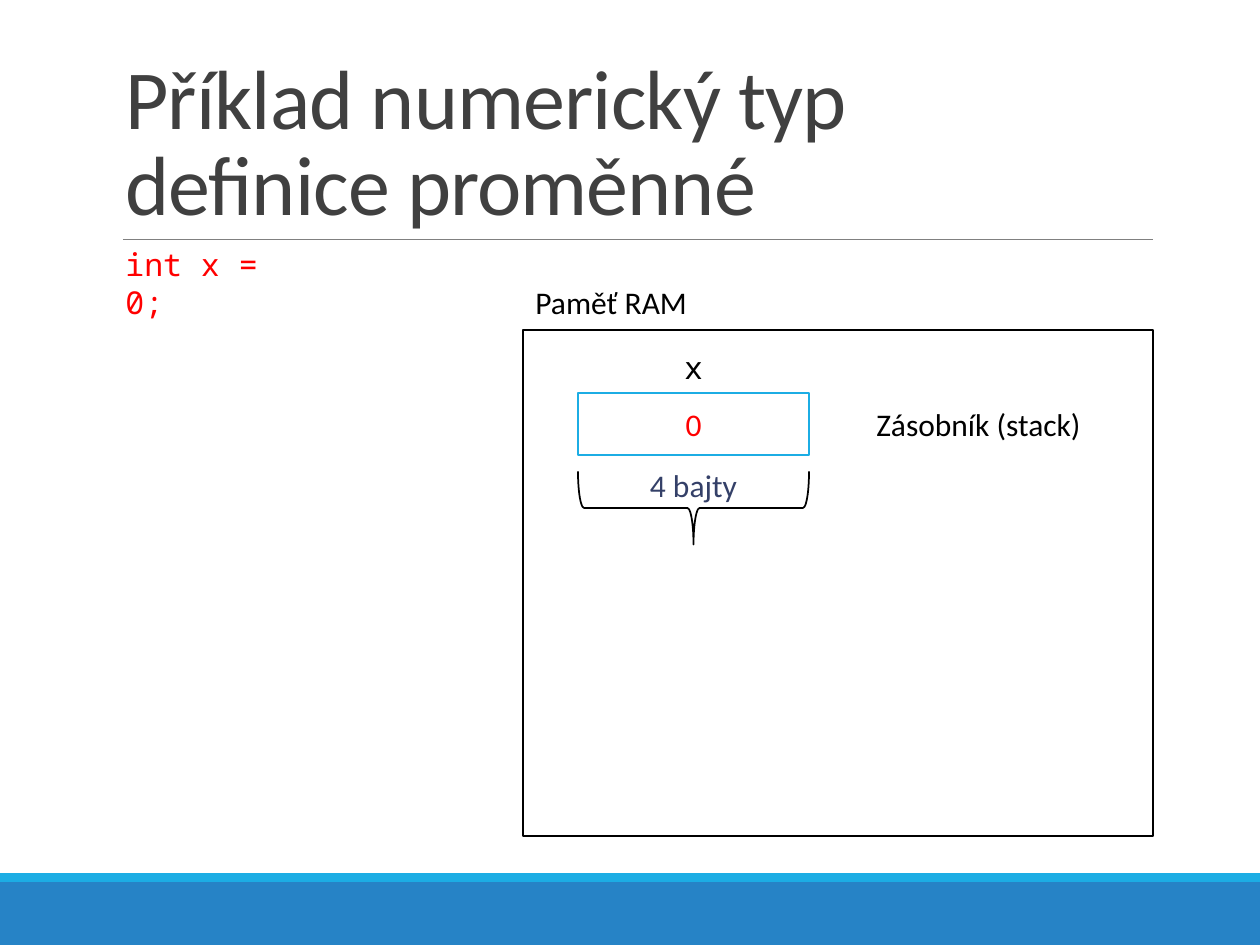
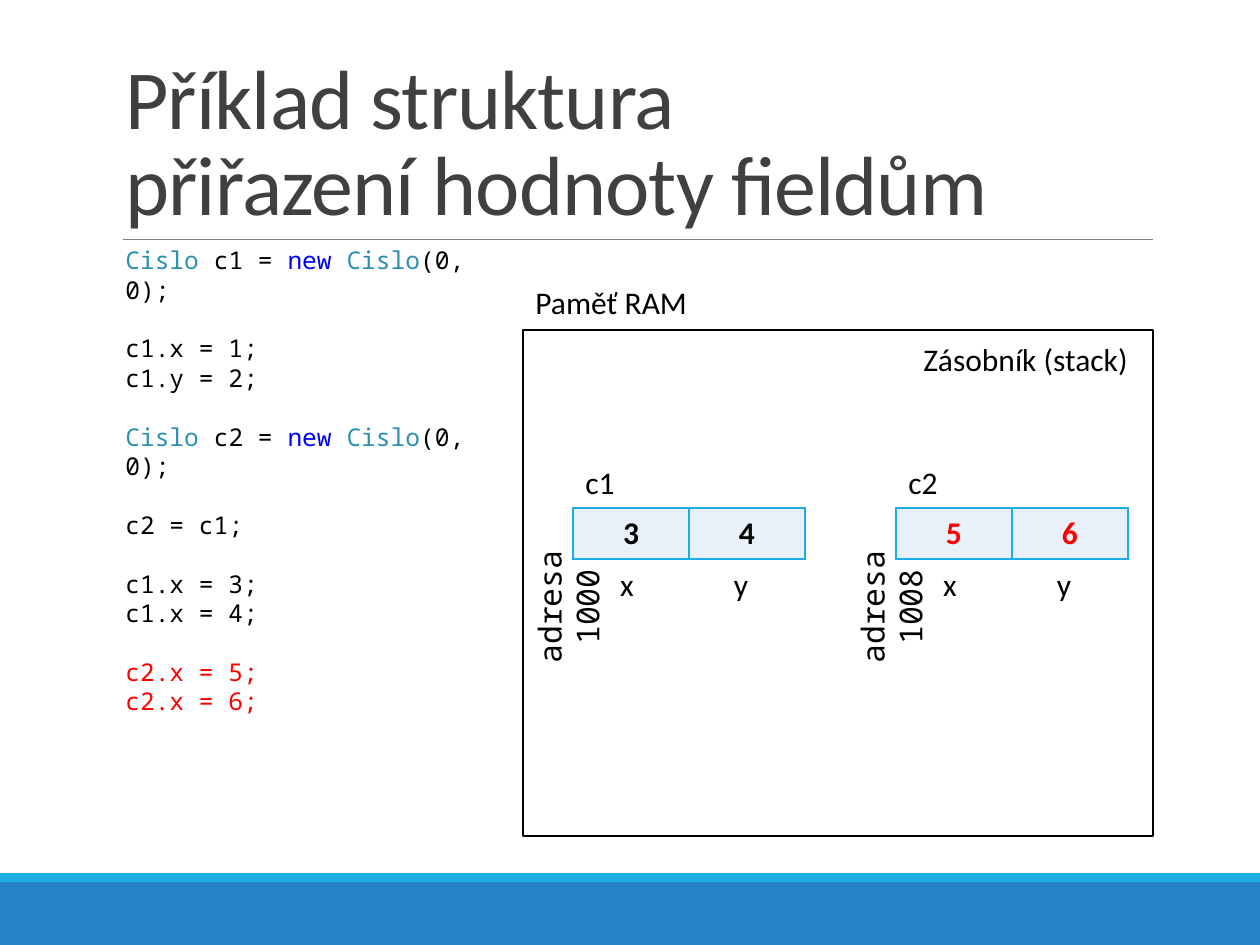
from dataclasses import dataclass

from lxml import etree
from pptx import Presentation
from pptx.dml.color import RGBColor
from pptx.enum.shapes import MSO_CONNECTOR, MSO_SHAPE
from pptx.enum.text import MSO_ANCHOR, PP_ALIGN
from pptx.oxml.ns import qn
from pptx.util import Pt

LEFT, CENTER = PP_ALIGN.LEFT, PP_ALIGN.CENTER
TOP, MIDDLE, BOTTOM = MSO_ANCHOR.TOP, MSO_ANCHOR.MIDDLE, MSO_ANCHOR.BOTTOM
RECTANGLE, BRACE = MSO_SHAPE.RECTANGLE, MSO_SHAPE.LEFT_BRACE
STRAIGHT = MSO_CONNECTOR.STRAIGHT


@dataclass(frozen=True)
class Theme:
    ink: str = "000000"
    paper: str = "FFFFFF"
    heading: str = "404040"
    rule: str = "808080"
    band: str = "2683C6"
    accent: str = "1CADE4"
    cell: str = "E8F1FA"
    note: str = "344068"
    changed: str = "FF0000"
    type_name: str = "2B91AF"
    keyword: str = "0000FF"
    sans: str = "Calibri"
    mono: str = "Noto Sans Mono"
    title_size: int = 48
    body_size: int = 18
    code_size: int = 14
    code_gap: float = 16.8


THEME = Theme()
PAGE_WIDTH, PAGE_HEIGHT = 1260, 945
FRAME = (523, 330, 630, 506)
VARIABLE = (578, 393, 231, 62)
CELL_WIDTH, CELL_HEIGHT, CELL_TOP = 116, 51, 508
LABEL_HEIGHT = 50

NUMERIC_TITLE = "Příklad numerický typ\ndefinice proměnné"
STRUCT_TITLE = "Příklad struktura\npřiřazení hodnoty fieldům"
MEMORY_LABEL = "Paměť RAM"
STACK_LABEL = "Zásobník (stack)"


def creation(name):
    return [("Cislo ", THEME.type_name), (f"{name} = ", THEME.ink),
            ("new ", THEME.keyword), ("Cislo", THEME.type_name),
            ("(0, 0);", THEME.ink)]


STRUCT_CODE = [
    [creation("c1")],
    ["c1.x = 1;", "c1.y = 2;"],
    [creation("c2")],
    ["c2 = c1;"],
    ["c1.x = 3;", "c1.x = 4;"],
    [[("c2.x = 5;", THEME.changed)], [("c2.x = 6;", THEME.changed)]],
]
FIELDS = ("x", "y")
STRUCTS = [
    {"name": "c1", "address": "adresa 1000", "values": ("3", "4"),
     "left": 573, "color": THEME.ink},
    {"name": "c2", "address": "adresa 1008", "values": ("5", "6"),
     "left": 896, "color": THEME.changed},
]


def px(length):
    return round(length * 914400 / 126)


def place(left, top, width, height):
    return px(left), px(top), px(width), px(height)


def rgb(color):
    return RGBColor.from_string(color)


def write(frame, groups, size=THEME.body_size, font=THEME.sans, color=THEME.ink,
          align=LEFT, anchor=TOP, bold=False, gap=0, leading=None, tracking=None):
    frame.word_wrap = True
    frame.vertical_anchor = anchor
    if isinstance(groups, str):
        groups = [[groups]]
    para = None
    for group in groups:
        for position, line in enumerate(group):
            first = para is None
            para = frame.paragraphs[0] if first else frame.add_paragraph()
            para.alignment = align
            if gap and not first and position == 0:
                para.space_before = Pt(gap)
            if leading:
                para.line_spacing = leading
            spans = [(line, color)] if isinstance(line, str) else line
            for text, span_color in spans:
                for number, part in enumerate(text.split("\n")):
                    if number:
                        para.add_line_break()
                    span = para.add_run()
                    span.text = part
                    span.font.size = Pt(size)
                    span.font.name = font
                    span.font.bold = bold
                    span.font.color.rgb = rgb(span_color)
                    if tracking:
                        span.font._element.set("spc", str(tracking))


def add_text(page, bounds, groups, rotation=0, **style):
    box = page.shapes.add_textbox(*place(*bounds))
    box.rotation = rotation
    write(box.text_frame, groups, **style)


def add_box(page, bounds, kind=RECTANGLE, fill=None, line=None, weight=1.25):
    box = page.shapes.add_shape(kind, *place(*bounds))
    box.shadow.inherit = False
    if fill:
        box.fill.solid()
        box.fill.fore_color.rgb = rgb(fill)
    else:
        box.fill.background()
    if line:
        box.line.color.rgb = rgb(line)
        box.line.width = Pt(weight)
    else:
        box.line.fill.background()
    return box


def add_rule(page, left, right, top):
    rule = page.shapes.add_connector(STRAIGHT, px(left), px(top), px(right), px(top))
    rule.line.color.rgb = rgb(THEME.rule)
    rule.line.width = Pt(0.5)
    etree.SubElement(rule._element.spPr, qn("a:effectLst"))


def add_page(deck, title):
    page = deck.slides.add_slide(deck.slide_layouts[6])
    add_box(page, (0, 882, PAGE_WIDTH, 63), fill=THEME.band)
    add_box(page, (0, 873, PAGE_WIDTH, 9), fill=THEME.accent)
    add_rule(page, 123, 1153, 239)
    add_box(page, FRAME, fill=THEME.paper, line=THEME.ink)
    add_text(page, (113, 39, 1040, 200), title, size=THEME.title_size,
             color=THEME.heading, anchor=BOTTOM, leading=0.85, tracking=-50)
    add_text(page, (523, 277, 234, LABEL_HEIGHT), MEMORY_LABEL)
    return page


def outline_cell(cell, color):
    properties = cell._tc.get_or_add_tcPr()
    for side in ("lnL", "lnR", "lnT", "lnB"):
        border = etree.SubElement(properties, qn(f"a:{side}"), w=str(Pt(1)))
        fill = etree.SubElement(border, qn("a:solidFill"))
        etree.SubElement(fill, qn("a:srgbClr"), val=color)


def add_values(page, left, values, color):
    bounds = (left, CELL_TOP, CELL_WIDTH * len(values), CELL_HEIGHT)
    table = page.shapes.add_table(1, len(values), *place(*bounds)).table
    table.first_row = table.horz_banding = False
    for column, value in enumerate(values):
        cell = table.cell(0, column)
        outline_cell(cell, THEME.accent)
        cell.fill.solid()
        cell.fill.fore_color.rgb = rgb(THEME.cell)
        write(cell.text_frame, value, color=color, align=CENTER, bold=True)


def add_struct(page, name, address, values, left, color):
    add_values(page, left, values, color)
    for column, field in enumerate(FIELDS):
        add_text(page, (left - 4 + column * (CELL_WIDTH - 2), CELL_TOP + CELL_HEIGHT,
                        CELL_WIDTH, LABEL_HEIGHT), field, align=CENTER)
    add_text(page, (left - 138, 582, 228, LABEL_HEIGHT), address, rotation=270,
             font=THEME.mono, align=CENTER)
    add_text(page, (left, 457, 2 * CELL_WIDTH, LABEL_HEIGHT), name)


def build_numeric(deck):
    page = add_page(deck, NUMERIC_TITLE)
    add_text(page, (113, 239, 200, LABEL_HEIGHT), "int x = 0;",
             font=THEME.mono, color=THEME.changed)
    variable = add_box(page, VARIABLE, fill=THEME.paper, line=THEME.accent)
    write(variable.text_frame, "0", color=THEME.changed, align=CENTER, anchor=MIDDLE)
    left, top, width, height = VARIABLE
    depth, middle = 73, 508
    brace = add_box(page, (left + (width - depth) / 2, middle - width / 2, depth, width),
                    kind=BRACE, line=THEME.ink, weight=1)
    brace.rotation = 270
    write(brace.text_frame, "4 bajty", color=THEME.note, align=CENTER, anchor=MIDDLE)
    brace.text_frame._txBody.bodyPr.set("vert", "vert")
    add_text(page, (left, 342, width, LABEL_HEIGHT), "x", font=THEME.mono, align=CENTER)
    add_text(page, (864, 399, 265, LABEL_HEIGHT), STACK_LABEL)


def build_struct(deck):
    page = add_page(deck, STRUCT_TITLE)
    add_text(page, (113, 239, 393, 428), STRUCT_CODE, size=THEME.code_size,
             font=THEME.mono, gap=THEME.code_gap)
    add_text(page, (911, 334, 265, LABEL_HEIGHT), STACK_LABEL)
    for struct in STRUCTS:
        add_struct(page, **struct)


def main():
    deck = Presentation()
    deck.slide_width, deck.slide_height = px(PAGE_WIDTH), px(PAGE_HEIGHT)
    build_numeric(deck)
    build_struct(deck)
    deck.save("out.pptx")


if __name__ == "__main__":
    main()
